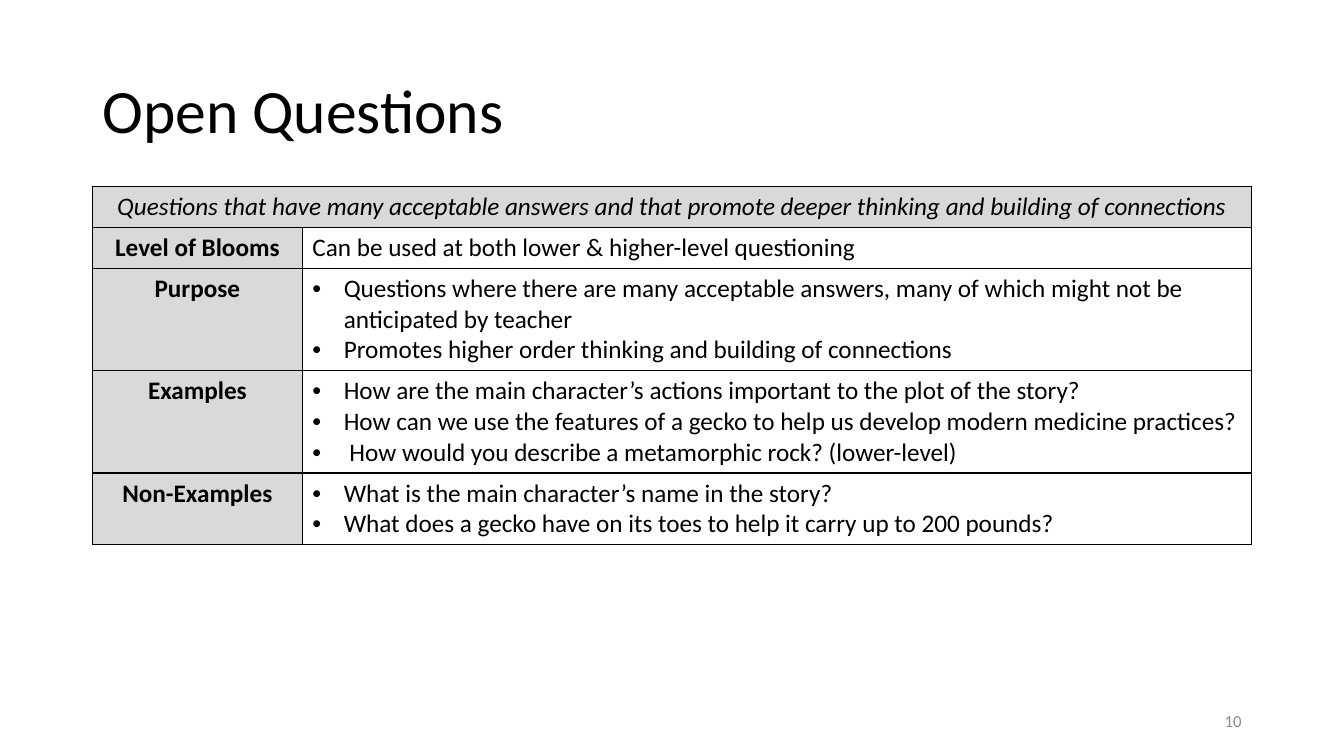
"""Build the Open Questions slide with its table of traits."""
from dataclasses import dataclass

from lxml import etree
from pptx import Presentation
from pptx.dml.color import RGBColor
from pptx.enum import text as txt
from pptx.oxml import ns
from pptx.util import Cm, Pt

TITLE = "Open Questions"
PAGE = "10"
HEAD = ("Questions that have many acceptable answers and that promote "
        "deeper thinking and building of connections")
ROWS = [
    ("Level of Blooms", 1, "Can be used at both lower & higher-level questioning"),
    ("Purpose", 3, [
        "Questions where there are many acceptable answers, many of which "
        "might not be anticipated by teacher",
        "Promotes higher order thinking and building of connections"]),
    ("Examples", 3, [
        "How are the main character’s actions important to the plot of the story?",
        "How can we use the features of a gecko to help us develop modern "
        "medicine practices?",
        " How would you describe a metamorphic rock? (lower-level)"]),
    ("Non-Examples", 2, [
        "What is the main character’s name in the story?",
        "What does a gecko have on its toes to help it carry up to 200 pounds?"]),
]


@dataclass(frozen=True)
class Theme:
    """Colours, font and type sizes."""
    font: str = "Calibri"
    ink: str = "000000"
    shade: str = "D9D9D9"
    mute: str = "8C8C8C"
    big: int = 44
    body: int = 18
    small: int = 12


LOOK = Theme()
LEFT, WIDE = 2.33, 29.21
COLS = (5.29, WIDE - 5.29)
LINE, PAD, DENT = 0.77, 0.26, 0.79


def style(para, size, ink=LOOK.ink, align=txt.PP_ALIGN.LEFT, bold=False, slant=False):
    """Set the alignment of a paragraph and the font of its runs."""
    para.alignment = align
    for run in para.runs:
        font = run.font
        font.name, font.size = LOOK.font, Pt(size)
        font.bold, font.italic = bold, slant
        font.color.rgb = RGBColor.from_string(ink)


def bullet(para):
    """Give a paragraph a hanging bullet."""
    props = para._p.get_or_add_pPr()
    props.set("marL", str(Cm(DENT)))
    props.set("indent", str(-Cm(DENT)))
    etree.SubElement(props, ns.qn("a:buFont")).set("typeface", "Arial")
    etree.SubElement(props, ns.qn("a:buChar")).set("char", "•")


def frame(cell, shade):
    """Draw the borders of a cell and fill it."""
    props = cell._tc.get_or_add_tcPr()
    for side in ("lnL", "lnR", "lnT", "lnB"):
        line = etree.SubElement(props, ns.qn("a:" + side), w=str(Pt(1)))
        fill = etree.SubElement(line, ns.qn("a:solidFill"))
        etree.SubElement(fill, ns.qn("a:srgbClr"), val=LOOK.ink)
    if shade:
        cell.fill.solid()
        cell.fill.fore_color.rgb = RGBColor.from_string(LOOK.shade)
    else:
        cell.fill.background()


def label(cell, words, **kind):
    """Write a centred label in a cell."""
    cell.text_frame.text = words
    style(cell.text_frame.paragraphs[0], LOOK.body, align=txt.PP_ALIGN.CENTER, **kind)


def detail(cell, words):
    """Write one plain line or a bulleted list in a cell."""
    listed = isinstance(words, list)
    cell.text_frame.text = "\n".join(words) if listed else words
    for para in cell.text_frame.paragraphs:
        if listed:
            bullet(para)
        style(para, LOOK.body)


def head(slide):
    """Place and format the title."""
    title = slide.shapes.title
    title.left, title.top, title.width, title.height = map(Cm, (LEFT, 1.01, WIDE, 3.68))
    title.text_frame.text = TITLE
    title.text_frame.vertical_anchor = txt.MSO_ANCHOR.MIDDLE
    para = title.text_frame.paragraphs[0]
    para.line_spacing = 0.9
    style(para, LOOK.big)


def grid(slide):
    """Add the table, with row heights set by line counts."""
    highs = [LINE * count + PAD for count in [1] + [row[1] for row in ROWS]]
    table = slide.shapes.add_table(
        len(highs), len(COLS), Cm(LEFT), Cm(4.7), Cm(WIDE), Cm(sum(highs))).table
    table.first_row = table.horz_banding = False
    for col, wide in zip(table.columns, COLS):
        col.width = Cm(wide)
    for num, (row, high) in enumerate(zip(table.rows, highs)):
        row.height = Cm(high)
        for pos, cell in enumerate(row.cells):
            frame(cell, num == 0 or pos == 0)
    table.cell(0, 0).merge(table.cell(0, 1))
    label(table.cell(0, 0), HEAD, slant=True)
    for num, (name, _, words) in enumerate(ROWS, 1):
        label(table.cell(num, 0), name, bold=True)
        detail(table.cell(num, 1), words)


def foot(slide):
    """Add the page number."""
    box = slide.shapes.add_textbox(Cm(23.92), Cm(17.65), Cm(7.62), Cm(1.01))
    box.text_frame.word_wrap = True
    box.text_frame.vertical_anchor = txt.MSO_ANCHOR.MIDDLE
    box.text_frame.text = PAGE
    style(box.text_frame.paragraphs[0], LOOK.small, LOOK.mute, txt.PP_ALIGN.RIGHT)


def main():
    """Build and save the slide."""
    deck = Presentation()
    deck.slide_width, deck.slide_height = Cm(33.87), Cm(19.05)
    slide = deck.slides.add_slide(deck.slide_layouts[5])
    head(slide)
    grid(slide)
    foot(slide)
    deck.save("out.pptx")


if __name__ == "__main__":
    main()
